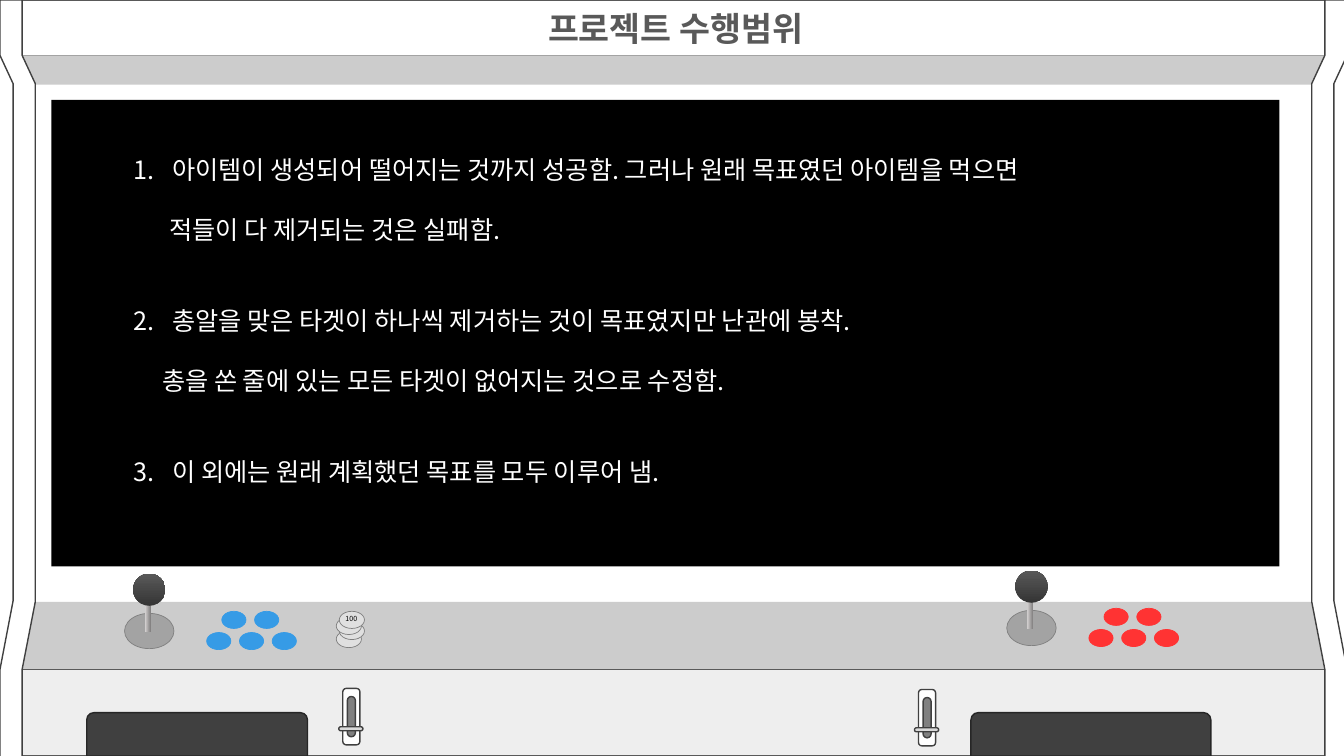
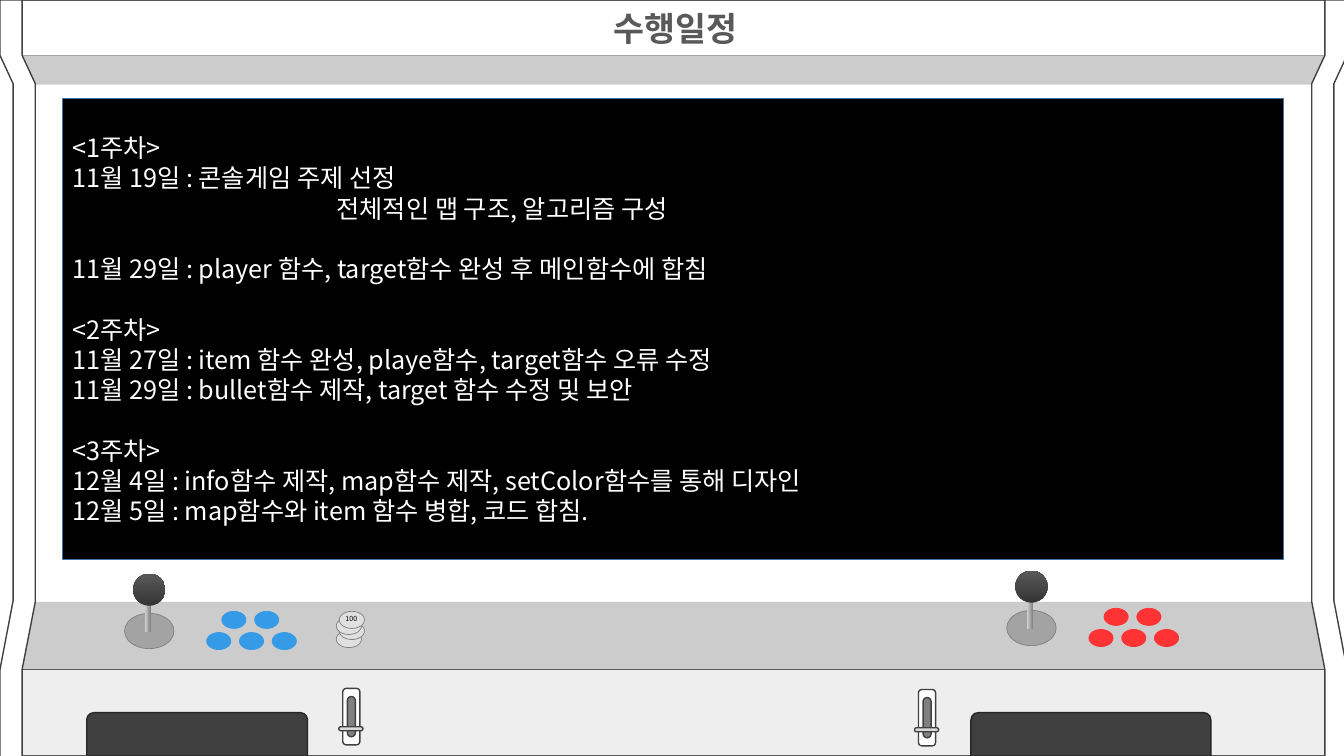
"""Build two project slides framed by an arcade cabinet."""
from lxml import etree
from pptx import Presentation
from pptx.dml.color import RGBColor
from pptx.enum import shapes, text
from pptx.oxml.ns import qn
from pptx.util import Inches, Pt

FONT = "Noto Sans CJK KR"
PITCH = 21.6
MSO = shapes.MSO_SHAPE
WHITE = RGBColor(0xFF, 0xFF, 0xFF)
BLACK = RGBColor(0, 0, 0)
GREY = RGBColor(0x59, 0x59, 0x59)
DARK = RGBColor(0x40, 0x40, 0x40)
EDGE = RGBColor(0x26, 0x26, 0x26)
BAND = RGBColor(0xCC, 0xCC, 0xCC)
PANEL = RGBColor(0xEE, 0xEE, 0xEE)
BASE = RGBColor(0xA3, 0xA3, 0xA3)
SLOT = RGBColor(0x80, 0x80, 0x80)
LEVER = RGBColor(0xD9, 0xD9, 0xD9)
COIN = RGBColor(0xE0, 0xE0, 0xE0)
BLUE = RGBColor(0x36, 0x9B, 0xE6)
RED = RGBColor(0xFF, 0x33, 0x33)
FRAME = RGBColor(0x43, 0x73, 0x9E)
STICK = (RGBColor(0x7C, 0x7A, 0x7A), RGBColor(0xD1, 0xCE, 0xCE))
BALL = (RGBColor(0x35, 0x35, 0x35), GREY)

SLIDES = [
    {"title": "프로젝트 수행범위", "screen": (0.51, 0.99, 12.18, 4.63),
     "line": None, "box": (1.23, 1.48, 10.23, 3.43),
     "lines": [
         ("아이템이 생성되어 떨어지는 것까지 성공함. 그러나 원래 목표였던 아이템을 먹으면",
          {"number": 1}),
         ("적들이 다 제거되는 것은 실패함.", {"gap": 1, "indent": 0.35}),
         ("총알을 맞은 타겟이 하나씩 제거하는 것이 목표였지만 난관에 봉착.",
          {"gap": 2, "number": 2}),
         ("총을 쏜 줄에 있는 모든 타겟이 없어지는 것으로 수정함.",
          {"gap": 1, "indent": 0.28}),
         ("이 외에는 원래 계획했던 목표를 모두 이루어 냄.",
          {"gap": 2, "number": 3}),
     ]},
    {"title": "수행일정", "screen": (0.62, 0.98, 12.11, 4.57),
     "line": FRAME, "box": None,
     "lines": [
         ("<1주차>", {}),
         ("11월 19일 : 콘솔게임 주제 선정", {}),
         ("전체적인 맵 구조, 알고리즘 구성", {"indent": 2.62}),
         ("11월 29일 : player 함수, target함수 완성 후 메인함수에 합침", {"gap": 1}),
         ("<2주차>", {"gap": 1}),
         ("11월 27일 : item 함수 완성, playe함수, target함수 오류 수정", {}),
         ("11월 29일 : bullet함수 제작, target 함수 수정 및 보안", {}),
         ("<3주차>", {"gap": 1}),
         ("12월 4일 : info함수 제작, map함수 제작, setColor함수를 통해 디자인", {}),
         ("12월 5일 : map함수와 item 함수 병합, 코드 합침.", {}),
     ]},
]

SIDE = [(0, 0), (0.22, 0), (0.22, 0.55), (0.35, 0.83), (0.35, 5.97),
        (0.22, 6.64), (0.22, 7.51), (0, 7.51), (0, 6.64), (0.13, 5.96),
        (0.13, 0.83), (0, 0.55)]
BUTTONS = [(2.17 + 0.325 * i, 6.36) for i in range(3)]
BUTTONS += [(2.32 + 0.325 * i, 6.15) for i in range(2)]
COINS = [(3.46, 6.34), (3.49, 6.26), (3.46, 6.21), (3.49, 6.15)]
CONTROLS = [(0, 0, BLUE), (8.75, -0.03, RED)]
COIN_SLOTS = [(3.4, 6.83), (9.11, 6.84)]
DOORS = [(9.63, 2.38), (0.86, 2.19)]


def paint(sp, fill, line=None, width=1):
    """Set a flat or two-stop fill and the outline."""
    if isinstance(fill, RGBColor):
        sp.fill.solid()
        sp.fill.fore_color.rgb = fill
    else:
        sp.fill.gradient()
        for stop, color in zip(sp.fill.gradient_stops, fill):
            stop.color.rgb = color
    if line is None:
        sp.line.fill.background()
    else:
        sp.line.color.rgb = line
        sp.line.width = Pt(width)


def draw(parent, kind, at, fill, line=None, width=1, adj=None):
    """Add a preset shape at left, top, width, height."""
    sp = parent.add_shape(kind, *map(Inches, at))
    sp.shadow.inherit = False
    paint(sp, fill, line, width)
    if adj is not None:
        sp.adjustments[0] = adj
    return sp


def oval(parent, center, w, h, fill, line):
    """Add an ellipse around a centre."""
    x, y = center
    return draw(parent, MSO.OVAL, (x - w / 2, y - h / 2, w, h), fill, line, 0.5)


def write(tf, lines, size=18, color=WHITE, bold=False,
          align=text.PP_ALIGN.LEFT, pitch=None):
    """Fill a text frame with (text, paragraph options) pairs."""
    tf.word_wrap = True
    tf.auto_size = text.MSO_AUTO_SIZE.NONE
    for i, (words, opts) in enumerate(lines):
        p = tf.add_paragraph() if i else tf.paragraphs[0]
        p.alignment = align
        if pitch:
            p.line_spacing = Pt(pitch)
            p.space_before = Pt(pitch * opts.get("gap", 0))
        pPr = p._p.get_or_add_pPr()
        if "indent" in opts:
            pPr.set("marL", str(Inches(opts["indent"])))
        if "number" in opts:
            pPr.set("marL", str(Inches(0.38)))
            pPr.set("indent", str(Inches(-0.38)))
            etree.SubElement(pPr, qn("a:buAutoNum"), type="arabicPeriod",
                             startAt=str(opts["number"]))
        r = p.add_run()
        r.text = words
        r.font.size = Pt(size)
        r.font.bold = bold
        r.font.color.rgb = color
        r.font.name = FONT
        etree.SubElement(r._r.get_or_add_rPr(), qn("a:ea"), typeface=FONT)


def add_title(s, words):
    """Turn the title placeholder into the cabinet's top sign."""
    sp = s.shapes.title
    sp.left, sp.top, sp.width, sp.height = map(Inches, (0.22, 0, 12.96, 0.55))
    paint(sp, WHITE, GREY)
    sp.text_frame.vertical_anchor = text.MSO_ANCHOR.MIDDLE
    write(sp.text_frame, [(words, {})], 24, GREY, True, text.PP_ALIGN.CENTER)


def add_cabinet(s):
    """Draw the bands and the two side walls."""
    g = s.shapes.add_group_shape().shapes
    top = draw(g, MSO.TRAPEZOID, (0.22, 0.55, 12.96, 0.29), BAND, adj=0.48)
    top.rotation = 180
    draw(g, MSO.TRAPEZOID, (0.22, 5.97, 12.96, 0.68), BAND, adj=0.19)
    draw(g, MSO.RECTANGLE, (0.22, 6.64, 12.96, 0.86), PANEL, GREY)
    for mirror in (False, True):
        points = [(Inches(13.36 - x if mirror else x), Inches(y))
                  for x, y in SIDE]
        fb = g.build_freeform(*points[0])
        fb.add_line_segments(points[1:])
        wall = fb.convert_to_shape()
        wall.shadow.inherit = False
        paint(wall, WHITE, DARK)


def add_controls(s):
    """Draw both joysticks with their buttons, and the coins."""
    for dx, dy, color in CONTROLS:
        g = s.shapes.add_group_shape().shapes
        oval(g, (1.48 + dx, 6.26 + dy), 0.49, 0.35, BASE, SLOT)
        stick = draw(g, MSO.RECTANGLE, (1.44 + dx, 5.8 + dy, 0.06, 0.47), STICK)
        stick.fill.gradient_angle = 180
        ball = draw(g, MSO.OVAL, (1.32 + dx, 5.69 + dy, 0.32, 0.32), BALL)
        ball.fill.gradient_angle = 90
        for x, y in BUTTONS:
            oval(g, (x + dx, y + dy), 0.24, 0.17, color, color)
    g = s.shapes.add_group_shape().shapes
    for center in COINS:
        oval(g, center, 0.25, 0.17, COIN, SLOT)
    tb = g.add_textbox(*map(Inches, (3.3, 6.05, 0.37, 0.19)))
    write(tb.text_frame, [("100", {})], 5, BLACK, align=text.PP_ALIGN.CENTER)


def add_front(s):
    """Draw the coin slots and the doors."""
    for x, y in COIN_SLOTS:
        g = s.shapes.add_group_shape().shapes
        for at, fill, adj in [
                ((x, y, 0.17, 0.56), WHITE, 0.2),
                ((x + 0.045, y + 0.08, 0.08, 0.4), SLOT, 0.5),
                ((x - 0.04, y + 0.38, 0.24, 0.04), LEVER, 0.5)]:
            draw(g, MSO.ROUNDED_RECTANGLE, at, fill, DARK, adj=adj)
    for x, w in DOORS:
        draw(s.shapes, MSO.ROUND_2_SAME_RECTANGLE, (x, 7.07, w, 0.43), DARK, EDGE)


def add_screen(s, item):
    """Draw the black screen and its text."""
    holder = draw(s.shapes, MSO.RECTANGLE, item["screen"], BLACK, item["line"])
    if item["box"]:
        holder = s.shapes.add_textbox(*map(Inches, item["box"]))
    else:
        holder.text_frame.vertical_anchor = text.MSO_ANCHOR.MIDDLE
    write(holder.text_frame, item["lines"], pitch=PITCH)


def main():
    """Build and save the deck."""
    prs = Presentation()
    prs.slide_width, prs.slide_height = Inches(13.33), Inches(7.5)
    for item in SLIDES:
        s = prs.slides.add_slide(prs.slide_layouts[5])
        add_title(s, item["title"])
        add_cabinet(s)
        add_controls(s)
        add_front(s)
        add_screen(s, item)
    prs.save("out.pptx")


if __name__ == "__main__":
    main()
